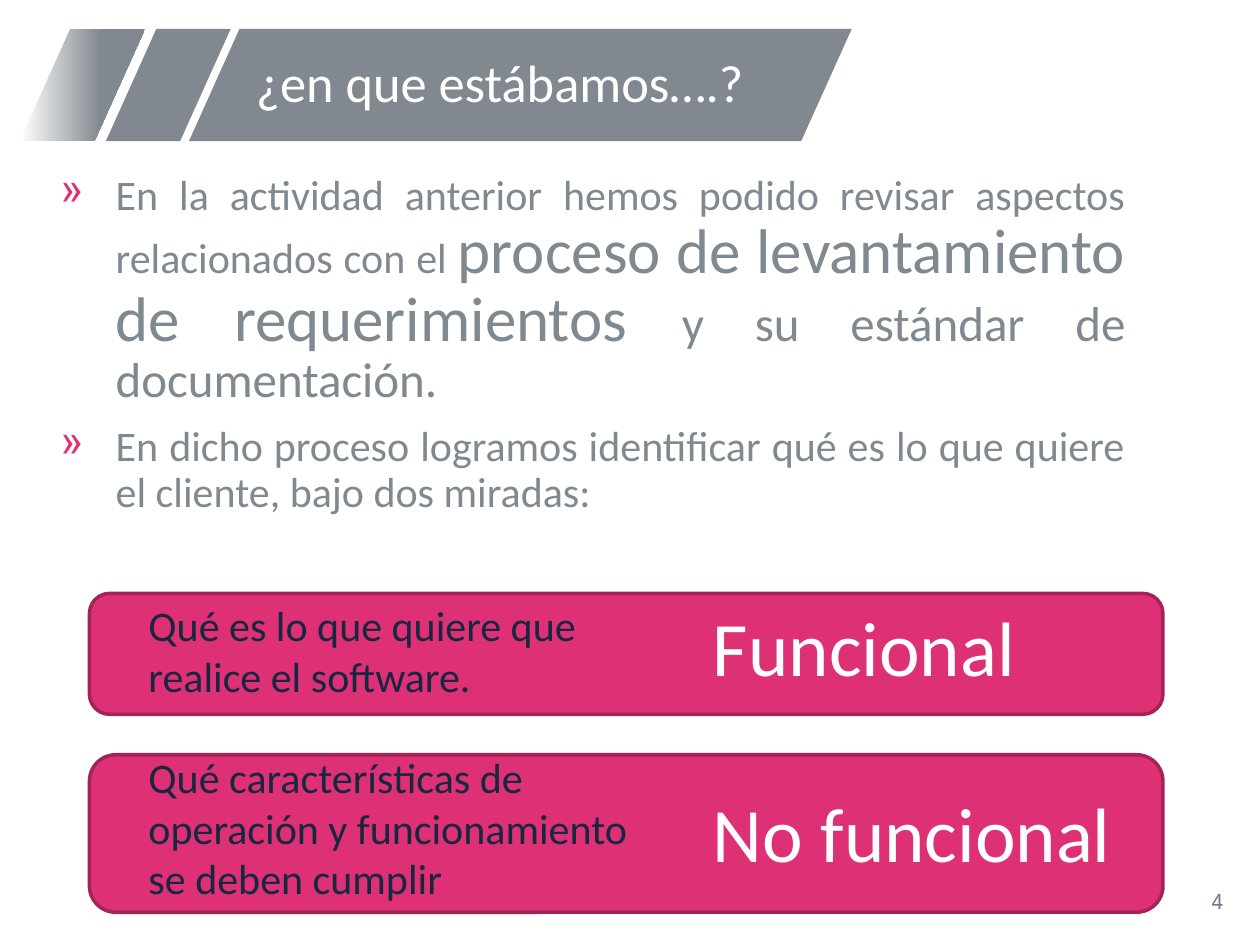
from lxml import etree
from pptx import Presentation
from pptx.dml.color import RGBColor
from pptx.enum.shapes import MSO_SHAPE
from pptx.enum.text import MSO_ANCHOR, PP_ALIGN
from pptx.oxml.ns import qn
from pptx.util import Inches, Pt

PARALLELOGRAM = MSO_SHAPE.PARALLELOGRAM
ROUNDED = MSO_SHAPE.ROUNDED_RECTANGLE
MIDDLE = MSO_ANCHOR.MIDDLE
LEFT, RIGHT, JUSTIFY = PP_ALIGN.LEFT, PP_ALIGN.RIGHT, PP_ALIGN.JUSTIFY
WHITE = RGBColor(0xFF, 0xFF, 0xFF)
GRAY = RGBColor(0x81, 0x88, 0x8F)
TEXT_GRAY = RGBColor(0x81, 0x89, 0x90)
NUMBER_GRAY = RGBColor(0x6C, 0x7A, 0x8A)
PINK = RGBColor(0xDE, 0x30, 0x75)
DARK_PINK = RGBColor(0xA4, 0x24, 0x57)
NAVY = RGBColor(0x17, 0x27, 0x40)
FONT = "Calibri"
BANNER_TOP, BANNER_HEIGHT = Inches(0.23), Inches(0.89)
CARD_TOP = Inches(4.71)


def set_font(font, size, color, name=FONT):
    font.size = Pt(size)
    font.name = name
    font.color.rgb = color


def add_box(page, left, top, width, height):
    box = page.shapes.add_textbox(left, top, width, height)
    box.text_frame.word_wrap = True
    return box


deck = Presentation()
deck.slide_width, deck.slide_height = Inches(10), Inches(7.5)
page = deck.slides.add_slide(deck.slide_layouts[5])

for left, width in ((1.5, 5.26), (0.84, 0.99), (0.16, 0.99)):
    stripe = page.shapes.add_shape(
        PARALLELOGRAM, Inches(left), BANNER_TOP, Inches(width), BANNER_HEIGHT)
    stripe.adjustments[0] = 0.45
    stripe.shadow.inherit = False
    stripe.fill.solid()
    stripe.fill.fore_color.rgb = GRAY
    stripe.line.fill.background()
stripe.fill.gradient()
stripe.fill.gradient_angle = 0
for stop, position, color in zip(stripe.fill.gradient_stops, (0, 0.65), (WHITE, GRAY)):
    stop.position = position
    stop.color.rgb = color

number_box = add_box(page, Inches(7.56), Inches(6.95), Inches(2.25), Inches(0.4))
number_box.text_frame.vertical_anchor = MIDDLE
para = number_box.text_frame.paragraphs[0]
para.text = "4"
para.alignment = RIGHT
set_font(para.font, 12, NUMBER_GRAY, "Noto Sans Mono")

for top, height in ((4.71, 0.96), (5.99, 1.25)):
    card = page.shapes.add_shape(
        ROUNDED, Inches(0.71), Inches(top), Inches(8.52), Inches(height))
    card.shadow.inherit = False
    card.fill.solid()
    card.fill.fore_color.rgb = PINK
    card.line.color.rgb = DARK_PINK
    card.line.width = Pt(2)

title = page.shapes.title
title.left, title.top = Inches(1.93), BANNER_TOP
title.width, title.height = Inches(4.69), BANNER_HEIGHT
title.text_frame.word_wrap = True
title.text_frame.vertical_anchor = MIDDLE
para = title.text_frame.paragraphs[0]
para.text = "¿en que estábamos….?"
para.alignment = LEFT
para.line_spacing = 0.9
set_font(para.font, 30, WHITE)
page.shapes._spTree.append(title._element)

bullets = (
    (("En la actividad anterior hemos podido revisar aspectos relacionados con el ", 24),
     ("proceso de levantamiento de requerimientos ", 36),
     ("y su estándar de documentación.", 28)),
    (("En dicho proceso logramos identificar qué es lo que quiere el cliente, "
      "bajo dos miradas:", 24),),
)
body = add_box(page, Inches(0.32), Inches(1.33), Inches(8.71), Inches(3.47)).text_frame
for index, spans in enumerate(bullets):
    para = body.add_paragraph() if index else body.paragraphs[0]
    properties = para._p.get_or_add_pPr()
    properties.set("marL", str(Inches(0.5)))
    properties.set("indent", str(Inches(-0.44)))
    bullet_color = etree.SubElement(properties, qn("a:buClr"))
    etree.SubElement(bullet_color, qn("a:srgbClr")).set("val", str(PINK))
    etree.SubElement(properties, qn("a:buChar")).set("char", "»")
    para.alignment = JUSTIFY
    para.line_spacing = 0.9
    if index:
        para.space_before = Pt(10)
    for text, size in spans:
        span = para.add_run()
        span.text = text
        set_font(span.font, size, TEXT_GRAY)

columns = (
    (0.52, 2.52, 24, NAVY, ("Qué es lo que quiere que realice el software.",
                            "Qué características de operación y funcionamiento se deben cumplir")),
    (5, 2.32, 44, WHITE, ("Funcional", "No funcional")),
)
for left, height, size, color, texts in columns:
    frame = add_box(page, Inches(left), CARD_TOP, Inches(4.68), Inches(height)).text_frame
    for index, text in enumerate(texts):
        para = frame.add_paragraph() if index else frame.paragraphs[0]
        para.text = text
        para._p.get_or_add_pPr().set("marL", str(Inches(0.56)))
        if index:
            para.space_before = Pt(size * 1.22)
        set_font(para.font, size, color)

deck.save("out.pptx")
